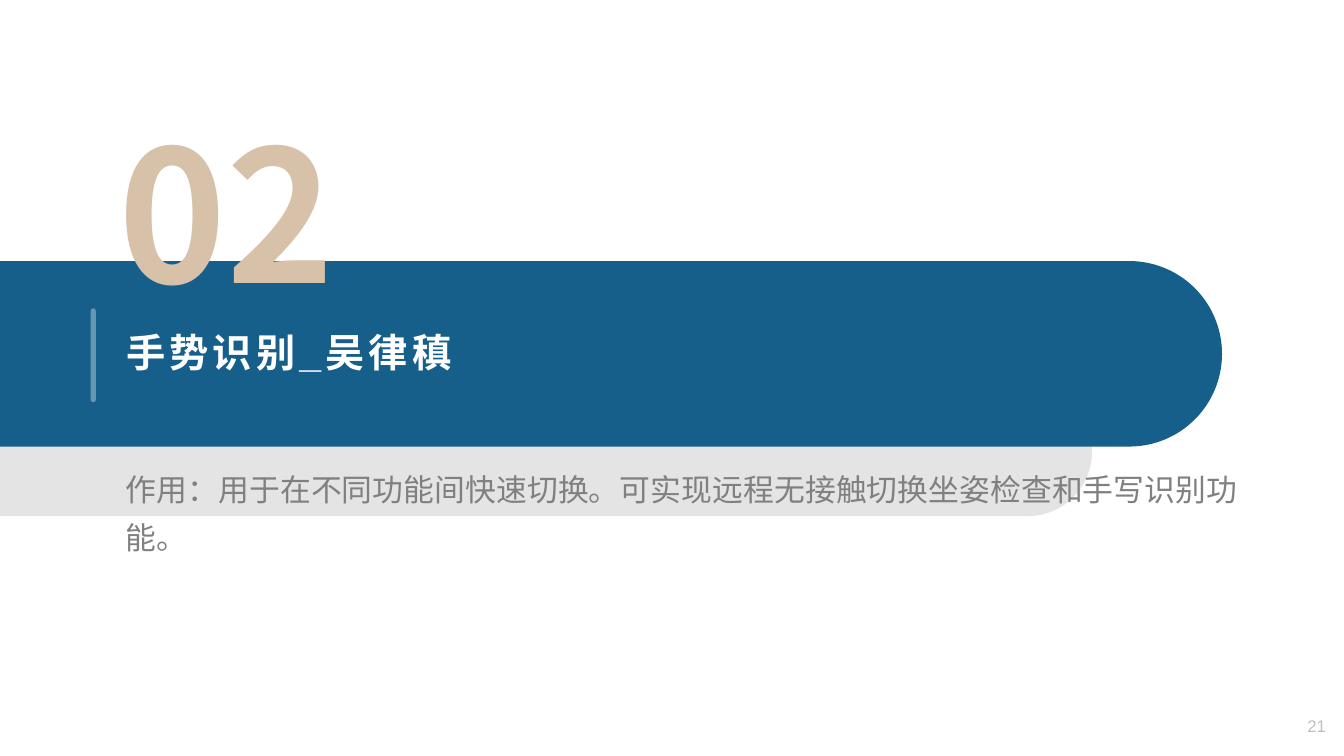
"""Build the section slide for gesture recognition."""
import pptx
import pptx.util
import pptx.dml.color
import pptx.enum.shapes
import pptx.enum.text
import pptx.oxml
import pptx.oxml.ns
from lxml import etree

Inches, Pt = pptx.util.Inches, pptx.util.Pt
ALIGN, ANCHOR = pptx.enum.text.PP_ALIGN, pptx.enum.text.MSO_ANCHOR
COLORS = {"band": "175F8B", "shade": "D9D9D9", "white": "FFFFFF",
          "number": "D7C1A9", "body": "808080", "page": "BFBFBF"}
LATIN, CJK = "Arial", "Noto Sans CJK SC"
TITLE = "手势识别_吴律稹"
NUMBER = "02"
BODY = "作用：用于在不同功能间快速切换。可实现远程无接触切换坐姿检查和手写识别功能。"
PAGE = "21"

W, H = 13.33, 7.5
TEXT_X, TEXT_W = 1.15, 11.23
#_
BARS = [
    ("shade", 71, (0, 3.85, 10.83, 1.27), 90, 0),
    ("band", 100, (0, 2.59, 12.12, 1.84), 90, 0),
    ("white", 35, (0.9, 3.06, 0.05, 0.93), 0, 0.5),
]
LABELS = [
    (NUMBER, (0.38, 0.94, 3.73, 2.3), 131, CJK, "number", True, ALIGN.CENTER, ANCHOR.TOP, 1),
    (BODY, (TEXT_X, 4.51, TEXT_W, 1.68), 22, LATIN, "body", False, ALIGN.JUSTIFY, ANCHOR.TOP, 1.3),
    (PAGE, (12.12, 7.01, 1.13, 0.38), 12, LATIN, "page", False, ALIGN.RIGHT, ANCHOR.MIDDLE, 1),
]


def rgb(name):
    return pptx.dml.color.RGBColor.from_string(COLORS[name])


def add_bar(slide, color, alpha, box, rotation, base_round):
    x, y, w, h = box
    sw, sh = (h, w) if rotation else (w, h)
    sp = slide.shapes.add_shape(
        pptx.enum.shapes.MSO_SHAPE.ROUND_2_SAME_RECTANGLE,
        Inches(x + (w - sw) / 2), Inches(y + (h - sh) / 2), Inches(sw), Inches(sh))
    sp.rotation = rotation
    sp.adjustments[0], sp.adjustments[1] = 0.5, base_round
    sp.shadow.inherit = False
    sp.line.fill.background()
    sp.fill.solid()
    sp.fill.fore_color.rgb = rgb(color)
    if alpha < 100:
        clr = sp.fill._xPr.find(".//" + pptx.oxml.ns.qn("a:srgbClr"))
        etree.SubElement(clr, pptx.oxml.ns.qn("a:alpha"), val=str(alpha * 1000))


def write(sp, text, size, font, color, bold, align, anchor, spacing):
    tf = sp.text_frame
    tf.text = text
    tf.word_wrap = True
    tf.auto_size = pptx.enum.text.MSO_AUTO_SIZE.NONE
    tf.vertical_anchor = anchor
    p = tf.paragraphs[0]
    p.alignment, p.line_spacing = align, spacing
    r = p.runs[0]
    r.font.size, r.font.name, r.font.bold = Pt(size), font, bold
    r.font.color.rgb = rgb(color)
    etree.SubElement(r.font._element, pptx.oxml.ns.qn("a:ea"), typeface=CJK)
    return r


def main():
    prs = pptx.Presentation()
    prs.slide_width, prs.slide_height = Inches(W), Inches(H)
    slide = prs.slides.add_slide(prs.slide_layouts[5])
    for bar in BARS:
        add_bar(slide, *bar)

    title = slide.shapes.title
    title.left, title.top = Inches(TEXT_X), Inches(3.12)
    title.width, title.height = Inches(TEXT_W), Inches(0.79)
    r = write(title, TITLE, 28, LATIN, "white", True, ALIGN.LEFT, ANCHOR.MIDDLE, 0.9)
    r.font._element.set("spc", "300")
    slide.shapes._spTree.append(title._element)

    for text, box, *style in LABELS:
        write(slide.shapes.add_textbox(*map(Inches, box)), text, *style)
    prs.save("out.pptx")


if __name__ == "__main__":
    main()
